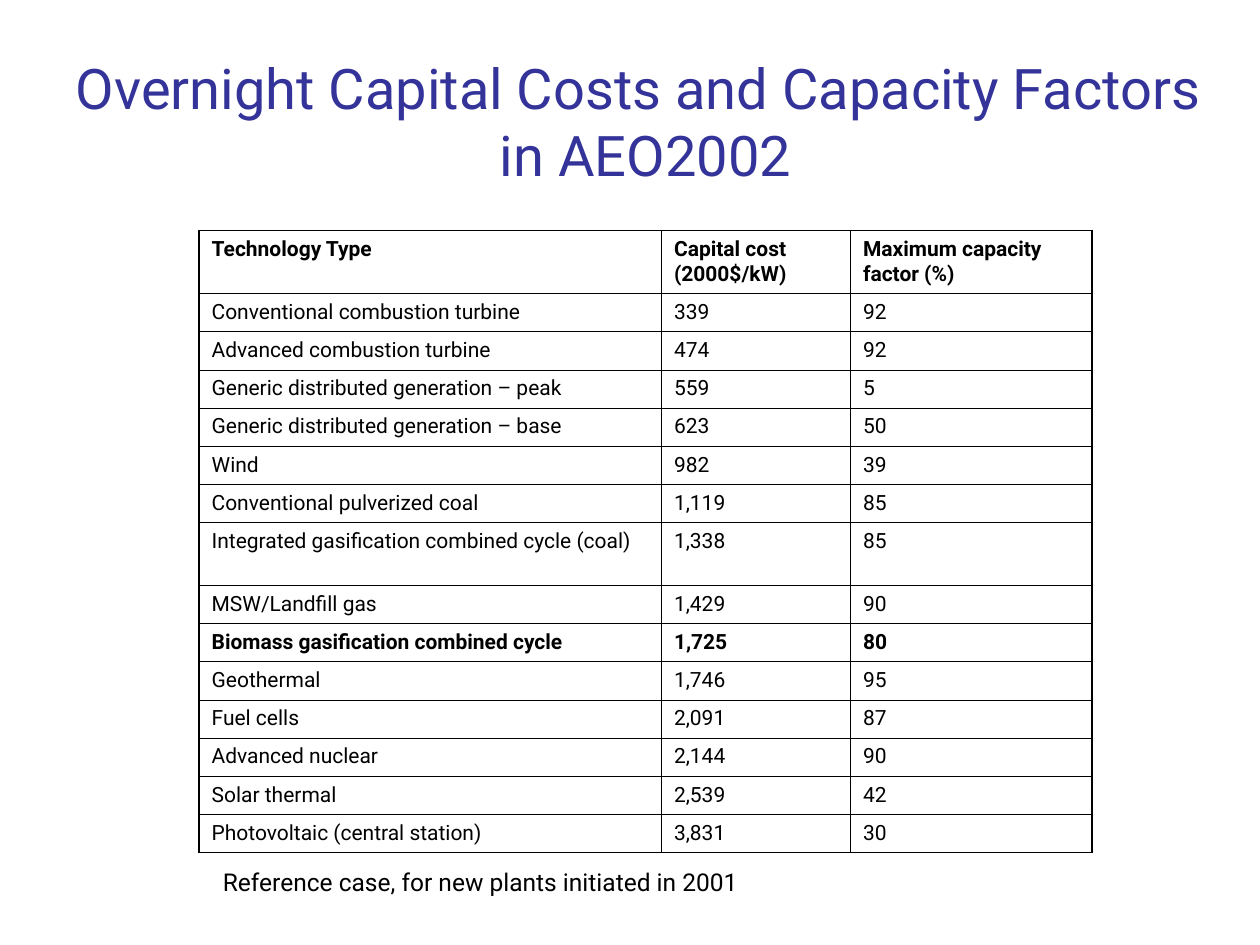
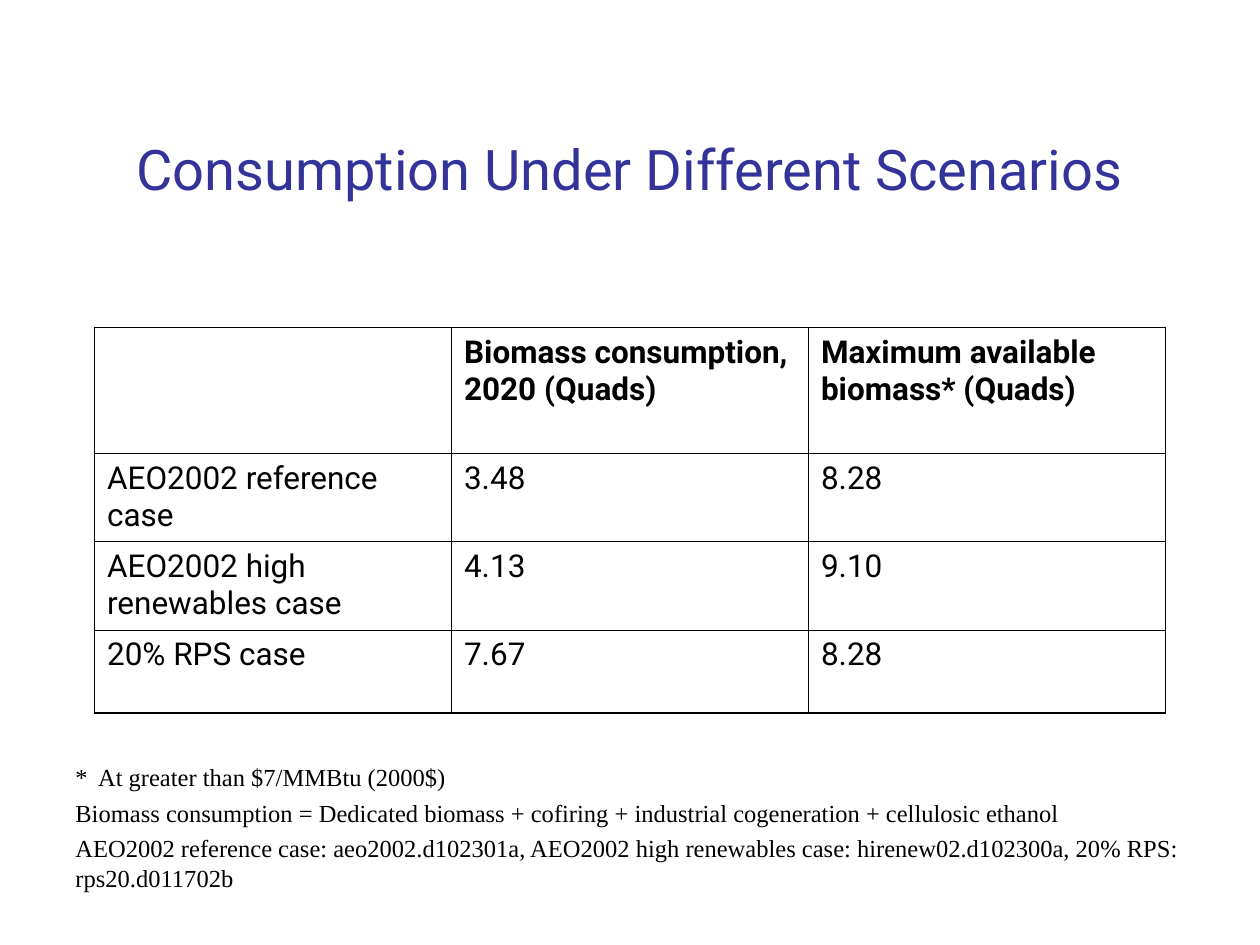
from dataclasses import dataclass

from lxml import etree
from pptx import Presentation
from pptx.dml.color import RGBColor
from pptx.enum import text
from pptx.oxml import ns
from pptx.util import Inches, Pt


@dataclass(frozen=True)
class Theme:
    title_color: RGBColor = RGBColor(0x33, 0x33, 0x99)
    ink: RGBColor = RGBColor(0, 0, 0)
    sans: str = "Roboto"
    serif: str = "Times New Roman"
    title_size: float = 32
    note_size: float = 14
    cost_size: float = 12
    scenario_size: float = 18
    outer_line: float = 1.08
    inner_line: float = 0.45


theme = Theme()


def write(para, words, size, color=theme.ink, font=theme.sans, bold=False):
    """Add one formatted run to a paragraph."""
    span = para.add_run()
    span.text = words
    span.font.size = Pt(size)
    span.font.name = font
    span.font.color.rgb = color
    span.font.bold = bold


def add_grid(page, left, top, widths, heights, rows, bold_rows, size):
    """Add a ruled table with a heavier outer frame."""
    table = page.shapes.add_table(
        len(rows), len(widths), Inches(left), Inches(top),
        Inches(sum(widths)), Inches(sum(heights))).table
    table.first_row = table.horz_banding = False
    for column, width in zip(table.columns, widths):
        column.width = Inches(width)
    for row, height in zip(table.rows, heights):
        row.height = Inches(height)

    last_row, last_column = len(rows) - 1, len(widths) - 1
    for r, values in enumerate(rows):
        for c, value in enumerate(values):
            cell = table.cell(r, c)
            cell.fill.background()
            if value:
                write(cell.text_frame.paragraphs[0], value, size, bold=r in bold_rows)

            # Cell borders come before the fill
            outer_sides = {"lnL": c == 0, "lnR": c == last_column,
                           "lnT": r == 0, "lnB": r == last_row}
            properties = cell._tc.get_or_add_tcPr()
            for position, (side, outer) in enumerate(outer_sides.items()):
                weight = theme.outer_line if outer else theme.inner_line
                line = etree.Element(ns.qn(f"a:{side}"), w=str(Pt(weight)))
                fill = etree.SubElement(line, ns.qn("a:solidFill"))
                etree.SubElement(fill, ns.qn("a:srgbClr"), val=str(theme.ink))
                properties.insert(position, line)


deck = Presentation()
deck.slide_width, deck.slide_height = Inches(10), Inches(7.5)

# Pages and titles
titles = [
    (["Overnight Capital Costs and Capacity Factors ", "in AEO2002"], (0.5, 0.33, 9.25, 1.25)),
    (["Consumption Under Different Scenarios"], (0.75, 0.75, 8.5, 1.17)),
]
pages = []
for lines, frame in titles:
    page = deck.slides.add_slide(deck.slide_layouts[5])
    title = page.shapes.title
    title.left, title.top, title.width, title.height = map(Inches, frame)
    title.text_frame.auto_size = text.MSO_AUTO_SIZE.NONE
    title.text_frame.vertical_anchor = text.MSO_ANCHOR.MIDDLE
    para = title.text_frame.paragraphs[0]
    para.alignment = text.PP_ALIGN.CENTER
    for number, line in enumerate(lines):
        if number:
            para.add_line_break()
        write(para, line, theme.title_size, theme.title_color)
    pages.append(page)
cost_page, scenario_page = pages

# Capital cost table
cost_rows = [
    ("Technology Type", "Capital cost (2000$/kW)", "Maximum capacity factor (%)"),
    ("Conventional combustion turbine", "339", "92"),
    ("Advanced combustion turbine", "474", "92"),
    ("Generic distributed generation – peak", "559", "5"),
    ("Generic distributed generation – base", "623", "50"),
    ("Wind", "982", "39"),
    ("Conventional pulverized coal", "1,119", "85"),
    ("Integrated gasification combined cycle (coal)", "1,338", "85"),
    ("MSW/Landfill gas", "1,429", "90"),
    ("Biomass gasification combined cycle", "1,725", "80"),
    ("Geothermal", "1,746", "95"),
    ("Fuel cells", "2,091", "87"),
    ("Advanced nuclear", "2,144", "90"),
    ("Solar thermal", "2,539", "42"),
    ("Photovoltaic (central station)", "3,831", "30"),
]
tall_rows, tall_height, cost_height = (0, 7), 0.5, 4.94
short_height = (cost_height - len(tall_rows) * tall_height) / (len(cost_rows) - len(tall_rows))
cost_heights = [tall_height if r in tall_rows else short_height for r in range(len(cost_rows))]
add_grid(cost_page, 1.58, 1.83, [3.67, 1.5, 1.92], cost_heights,
         cost_rows, (0, 9), theme.cost_size)

# Scenario table
scenario_rows = [
    ("", "Biomass consumption, 2020 (Quads)", "Maximum available biomass* (Quads)"),
    ("AEO2002 reference case", "3.48", "8.28"),
    ("AEO2002 high renewables case", "4.13", "9.10"),
    ("20% RPS case", "7.67", "8.28"),
]
add_grid(scenario_page, 0.75, 2.6, [8.5 / 3] * 3, [1, 0.7, 0.7, 0.66],
         scenario_rows, (0,), theme.scenario_size)

# Notes below the tables
notes = [
    (cost_page, (1.67, 6.83, 4.42, 0.57), theme.sans,
     ["Reference case, for new plants initiated in 2001"]),
    (scenario_page, (0.5, 6, 9.08, 1.13), theme.serif,
     ["*\tAt greater than $7/MMBtu (2000$)",
      "Biomass consumption = Dedicated biomass + cofiring + industrial cogeneration"
      " + cellulosic ethanol",
      "AEO2002 reference case: aeo2002.d102301a, AEO2002 high renewables case:"
      " hirenew02.d102300a, 20% RPS: rps20.d011702b"]),
]
for page, frame, font, lines in notes:
    box = page.shapes.add_textbox(*map(Inches, frame))
    box.text_frame.word_wrap = True
    for number, line in enumerate(lines):
        para = box.text_frame.add_paragraph() if number else box.text_frame.paragraphs[0]
        if "\t" in line:
            stops = etree.SubElement(para._p.get_or_add_pPr(), ns.qn("a:tabLst"))
            etree.SubElement(stops, ns.qn("a:tab"), pos=str(Inches(0.18)), algn="l")
        if number:
            para.space_before = Pt(3.5)
        write(para, line, theme.note_size, font=font)

deck.save("out.pptx")
